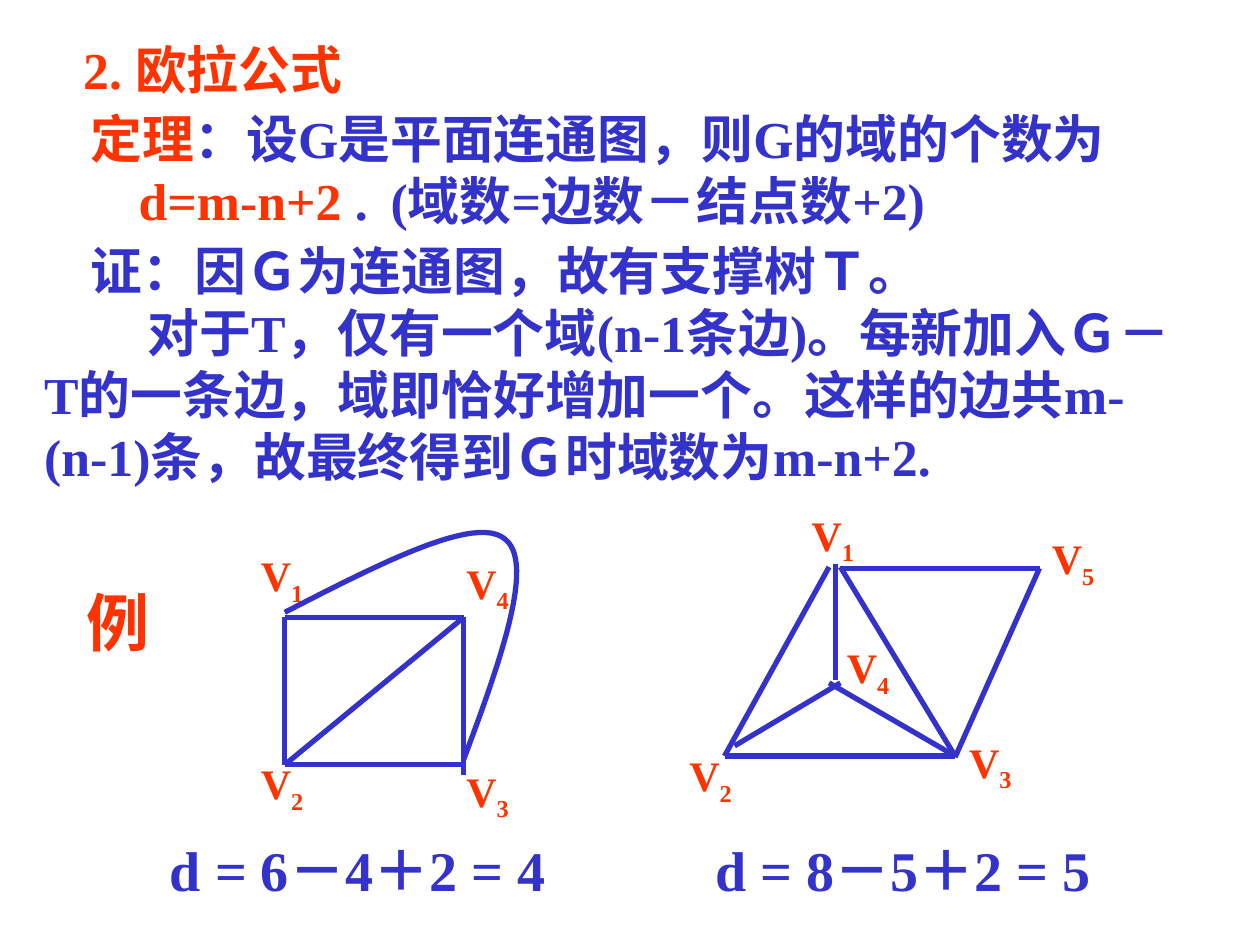
from pptx import Presentation
from pptx.dml.color import RGBColor
from pptx.enum.shapes import MSO_CONNECTOR, MSO_SHAPE
from pptx.enum.text import MSO_ANCHOR, PP_ALIGN
from pptx.oxml.ns import qn
from pptx.util import Inches, Pt
from lxml.etree import SubElement

RED = RGBColor(0xFF, 0x33, 0x00)
BLUE = RGBColor(0x33, 0x33, 0xCC)
FONT = "Times New Roman"

THEOREM_BLOCK = [
    ([("2. 欧拉公式", RED)], 0.31, 0, 0),
    ([("定理", RED), ("：设G是平面连通图，则G的域的个数为\v", BLUE),
      ("d=m-n+2", RED), (" .\t(域数=边数－结点数+2)", BLUE)], 0.75, -0.38, 4),
    ([("证：因Ｇ为连通图，故有支撑树Ｔ。", BLUE)], 0.37, 0, 4),
    ([("对于T，仅有一个域(n-1条边)。每新加入Ｇ－T的一条边，域即恰好增加一个。"
       "这样的边共m-(n-1)条，故最终得到Ｇ时域数为m-n+2.", BLUE)], 0, 0.82, 0),
]

SQUARE_LABELS = [("1", 0, 0.41), ("2", 0, 2.06), ("3", 1.63, 2.12), ("4", 1.63, 0.47)]
SQUARE_EDGES = [
    (0.16, 0.82, 1.58, 0.82), (0.16, 0.82, 0.16, 1.99), (0.16, 1.99, 1.58, 1.99),
    (1.58, 0.82, 1.58, 2.07), (0.16, 1.99, 1.58, 0.82),
]
SQUARE_ARC = [
    [(0.16, 0.78), (0.92, 0.39), (1.68, 0), (1.91, 0.2)],
    [(1.91, 0.2), (2.15, 0.39), (1.87, 1.17), (1.58, 1.95)],
]
TRIANGLE_LABELS = [("1", 0.97, 0), ("2", 0, 1.91), ("3", 2.22, 1.8), ("4", 1.25, 1.05)]
TRIANGLE_EDGES = [
    (1.08, 0.33, 0.25, 1.83), (0.25, 1.83, 2.08, 1.83), (2.08, 1.83, 1.17, 0.33),
    (1.13, 0.31, 1.13, 1.23), (1.17, 1.25, 0.33, 1.75), (1.08, 1.25, 2.08, 1.83),
    (1.17, 0.34, 2.75, 0.34), (2.75, 0.34, 2.08, 1.84),
]


def style(run, size, color):
    run.font.name = FONT
    run.font.size = Pt(size)
    run.font.bold = True
    run.font.color.rgb = color


def add_theorem(slide, left, top, width, height):
    slide.shapes.title.element.getparent().remove(slide.shapes.title.element)
    body = slide.placeholders[1]
    body.left, body.top = Inches(left), Inches(top)
    body.width, body.height = Inches(width), Inches(height)
    frame = body.text_frame
    frame.text = "\n".join("".join(text for text, _ in parts) for parts, *_ in THEOREM_BLOCK).replace("\v", "")
    for paragraph, (parts, margin, indent, before) in zip(frame.paragraphs, THEOREM_BLOCK):
        paragraph.clear()
        paragraph.space_before = Pt(before)
        properties = paragraph._p.get_or_add_pPr()
        properties.set("marL", str(Inches(margin)))
        properties.set("indent", str(Inches(indent)))
        SubElement(properties, qn("a:buNone"))
        if any("\t" in text for text, _ in parts):
            tabs = SubElement(properties, qn("a:tabLst"))
            SubElement(tabs, qn("a:tab"), pos=str(Inches(2.98)), algn="l")
        for text, color in parts:
            run = paragraph.add_run()
            run.text = text.rstrip("\v")
            style(run, 29.6, color)
            if text.endswith("\v"):
                paragraph.add_line_break()


def add_text(shapes, left, top, width, height, text, size, color):
    box = shapes.add_textbox(Inches(left), Inches(top), Inches(width), Inches(height))
    box.text_frame.word_wrap = True
    paragraph = box.text_frame.paragraphs[0]
    paragraph.text = text
    style(paragraph.runs[0], size, color)
    return paragraph


def add_subscript(paragraph, index):
    run = paragraph.add_run()
    run.text = index
    style(run, 24, RED)
    run.font._element.set("baseline", "-25000")


def add_vertex_label(shapes, left, top, index):
    label = shapes.add_shape(MSO_SHAPE.OVAL, Inches(left), Inches(top), Inches(0.28), Inches(0.2))
    label.shadow.inherit = False
    label.fill.background()
    label.line.fill.background()
    frame = label.text_frame
    frame.word_wrap = False
    frame.vertical_anchor = MSO_ANCHOR.MIDDLE
    paragraph = frame.paragraphs[0]
    paragraph.text = "V"
    paragraph.alignment = PP_ALIGN.CENTER
    style(paragraph.runs[0], 24, RED)
    add_subscript(paragraph, index)


def add_edge(shapes, *ends):
    edge = shapes.add_connector(MSO_CONNECTOR.STRAIGHT, *map(Inches, ends))
    edge.line.color.rgb = BLUE
    edge.line.width = Pt(3)
    SubElement(edge._element.spPr, qn("a:effectLst"))


def add_graph(slide, left, top, labels, edges):
    shapes = slide.shapes.add_group_shape().shapes
    for index, x, y in labels:
        add_vertex_label(shapes, left + x, top + y, index)
    for x1, y1, x2, y2 in edges:
        add_edge(shapes, left + x1, top + y1, left + x2, top + y2)
    return shapes


def curve_points(controls, steps=24):
    for step in range(1, steps + 1):
        t = step / steps
        weights = ((1 - t) ** 3, 3 * t * (1 - t) ** 2, 3 * t * t * (1 - t), t ** 3)
        yield tuple(sum(w * point[axis] for w, point in zip(weights, controls)) for axis in (0, 1))


def add_square_graph(slide, left, top):
    shapes = add_graph(slide, left, top, SQUARE_LABELS, SQUARE_EDGES)
    points = [SQUARE_ARC[0][0]] + [point for part in SQUARE_ARC for point in curve_points(part)]
    points = [(Inches(left + x), Inches(top + y)) for x, y in points]
    builder = shapes.build_freeform(*points[0])
    builder.add_line_segments(points[1:], close=False)
    arc = builder.convert_to_shape()
    arc.shadow.inherit = False
    arc.fill.background()
    arc.line.color.rgb = BLUE
    arc.line.width = Pt(3)


def add_triangle_graph(slide, left, top):
    shapes = add_graph(slide, left, top, TRIANGLE_LABELS, TRIANGLE_EDGES)
    paragraph = add_text(shapes, left + 2.75, top + 0.01, 0.58, 0.56, "V", 24, RED)
    add_subscript(paragraph, "5")


def main():
    presentation = Presentation()
    presentation.slide_width, presentation.slide_height = Inches(10), Inches(7.5)
    slide = presentation.slides.add_slide(presentation.slide_layouts[1])
    add_theorem(slide, 0.25, 0.25, 9.25, 4.25)
    add_text(slide.shapes, 0.59, 4.58, 0.7, 0.7, "例", 36, RED)
    add_square_graph(slide, 2.1, 4.08)
    add_triangle_graph(slide, 5.5, 4.17)
    for left, equation in ((1.25, "d = 6－4＋2 = 4"), (5.58, "d = 8－5＋2 = 5")):
        add_text(slide.shapes, left, 6.58, 3.75, 0.64, equation, 32, BLUE)
    presentation.save("out.pptx")


if __name__ == "__main__":
    main()
